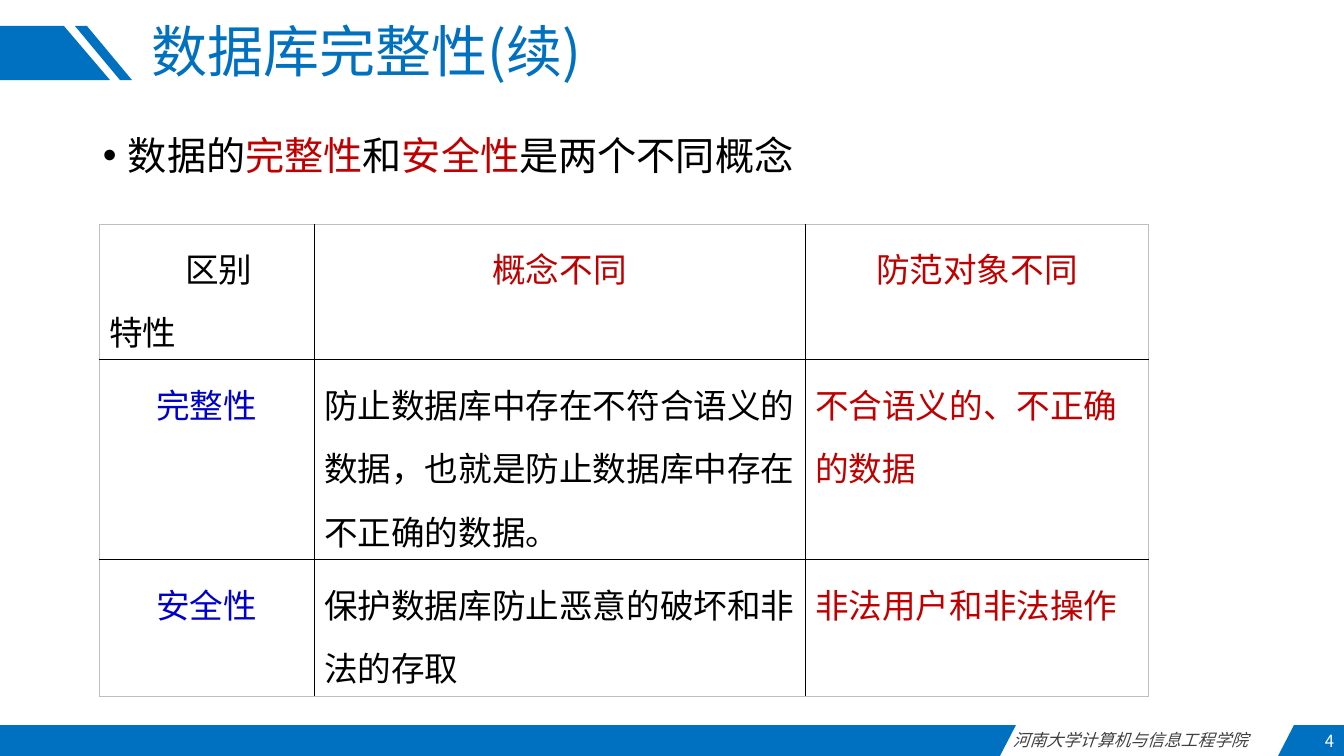
from lxml import etree
from pptx import Presentation
from pptx.dml.color import RGBColor
from pptx.enum.text import MSO_ANCHOR, PP_ALIGN
from pptx.oxml.ns import qn
from pptx.util import Pt

PX = 914400 / 100.8
FONT = "Noto Sans CJK SC"
BLUE = RGBColor(0x00, 0x70, 0xC0)
RED = RGBColor(0xC0, 0x00, 0x00)
NAVY = RGBColor(0x00, 0x00, 0xCC)
BLACK = RGBColor(0x00, 0x00, 0x00)
GREY = RGBColor(0x40, 0x40, 0x40)
SILVER = RGBColor(0xBF, 0xBF, 0xBF)
WHITE = RGBColor(0xFF, 0xFF, 0xFF)
LEFT, CENTER, RIGHT = PP_ALIGN.LEFT, PP_ALIGN.CENTER, PP_ALIGN.RIGHT
JUSTIFY = PP_ALIGN.JUSTIFY
TOP, MIDDLE = MSO_ANCHOR.TOP, MSO_ANCHOR.MIDDLE


def add_span(para, text, size, color):
    span = para.add_run()
    span.text = text
    span.font.size = Pt(size)
    span.font.color.rgb = color
    span.font.name = FONT
    etree.SubElement(span.font._element, qn("a:ea"), typeface=FONT)
    return span


def add_box(page, left, top, width, height, anchor, align):
    box = page.shapes.add_textbox(*(round(v * PX) for v in (left, top, width, height)))
    box.text_frame.word_wrap = True
    box.text_frame.vertical_anchor = anchor
    para = box.text_frame.paragraphs[0]
    para.alignment = align
    return para


deck = Presentation()
deck.slide_width = round(1344 * PX)
deck.slide_height = round(756 * PX)
page = deck.slides.add_slide(deck.slide_layouts[6])

BANDS = [
    [(0, 26), (64, 26), (110, 80), (0, 80)],
    [(87, 26), (132, 80), (120, 80), (75, 26)],
    [(0, 725), (1016, 725), (1000, 756), (0, 756)],
    [(1294, 725), (1344, 725), (1344, 756), (1278, 756)],
]
for corners in BANDS:
    builder = page.shapes.build_freeform(*corners[0], scale=PX)
    builder.add_line_segments(corners[1:], close=True)
    band = builder.convert_to_shape()
    band.shadow.inherit = False
    band.fill.solid()
    band.fill.fore_color.rgb = BLUE
    band.line.fill.background()

footer = add_box(page, 1003, 725, 275, 30, MIDDLE, JUSTIFY)
add_span(footer, "河南大学计算机与信息工程学院", 12, GREY).font.italic = True

title = add_box(page, 142, 26, 1094, 56, MIDDLE, LEFT)
title.line_spacing = 0.9
add_span(title, "数据库完整性(续)", 40, BLUE)

bullet = add_box(page, 93, 126, 1159, 577, TOP, LEFT)
bullet.space_after = Pt(6)
indent = round(25 * PX)
properties = bullet._p.get_or_add_pPr()
properties.set("marL", str(indent))
properties.set("indent", str(-indent))
etree.SubElement(properties, qn("a:buFont"), typeface="Arial")
etree.SubElement(properties, qn("a:buChar"), char="•")
for text, color in [
    ("数据的", BLACK),
    ("完整性", RED),
    ("和", BLACK),
    ("安全性", RED),
    ("是两个不同概念", BLACK),
]:
    add_span(bullet, text, 28, color)

number = add_box(page, 1204, 726, 140, 30, MIDDLE, RIGHT)
add_span(number, "4", 12, WHITE)

COLUMNS = [215, 491, 344]
ROWS = [136, 200, 137]
CELLS = [
    [("区别\n特性", BLACK, LEFT), ("概念不同", RED, CENTER), ("防范对象不同", RED, CENTER)],
    [
        ("完整性", NAVY, CENTER),
        ("防止数据库中存在不符合语义的数据，也就是防止数据库中存在不正确的数据。", BLACK, LEFT),
        ("不合语义的、不正确的数据", RED, LEFT),
    ],
    [
        ("安全性", NAVY, CENTER),
        ("保护数据库防止恶意的破坏和非法的存取", BLACK, LEFT),
        ("非法用户和非法操作", RED, LEFT),
    ],
]
frame = page.shapes.add_table(
    3, 3, round(99 * PX), round(224 * PX), round(sum(COLUMNS) * PX), round(sum(ROWS) * PX)
)
table = frame.table
table.first_row = False
table.horz_banding = False
for column, width in zip(table.columns, COLUMNS):
    column.width = round(width * PX)
for row, height in zip(table.rows, ROWS):
    row.height = round(height * PX)

for r, cells in enumerate(CELLS):
    for c, (text, color, align) in enumerate(cells):
        cell = table.cell(r, c)
        for i, line in enumerate(text.split("\n")):
            frame_text = cell.text_frame
            para = frame_text.add_paragraph() if i else frame_text.paragraphs[0]
            para.alignment = align
            para.line_spacing = 1.3
            add_span(para, line, 24, color)
        edges = {"lnL": c == 0, "lnR": c == 2, "lnT": r == 0, "lnB": r == 2}
        cell_properties = cell._tc.get_or_add_tcPr()
        for edge, outer in edges.items():
            border = etree.SubElement(cell_properties, qn("a:" + edge), w=str(Pt(0.75)))
            fill = etree.SubElement(border, qn("a:solidFill"))
            etree.SubElement(fill, qn("a:srgbClr"), val=str(SILVER if outer else BLACK))
        cell.fill.background()

corner = table.cell(0, 0).text_frame.paragraphs[0]
corner._p.get_or_add_pPr().set("indent", str(round(76 * PX)))

deck.save("out.pptx")
